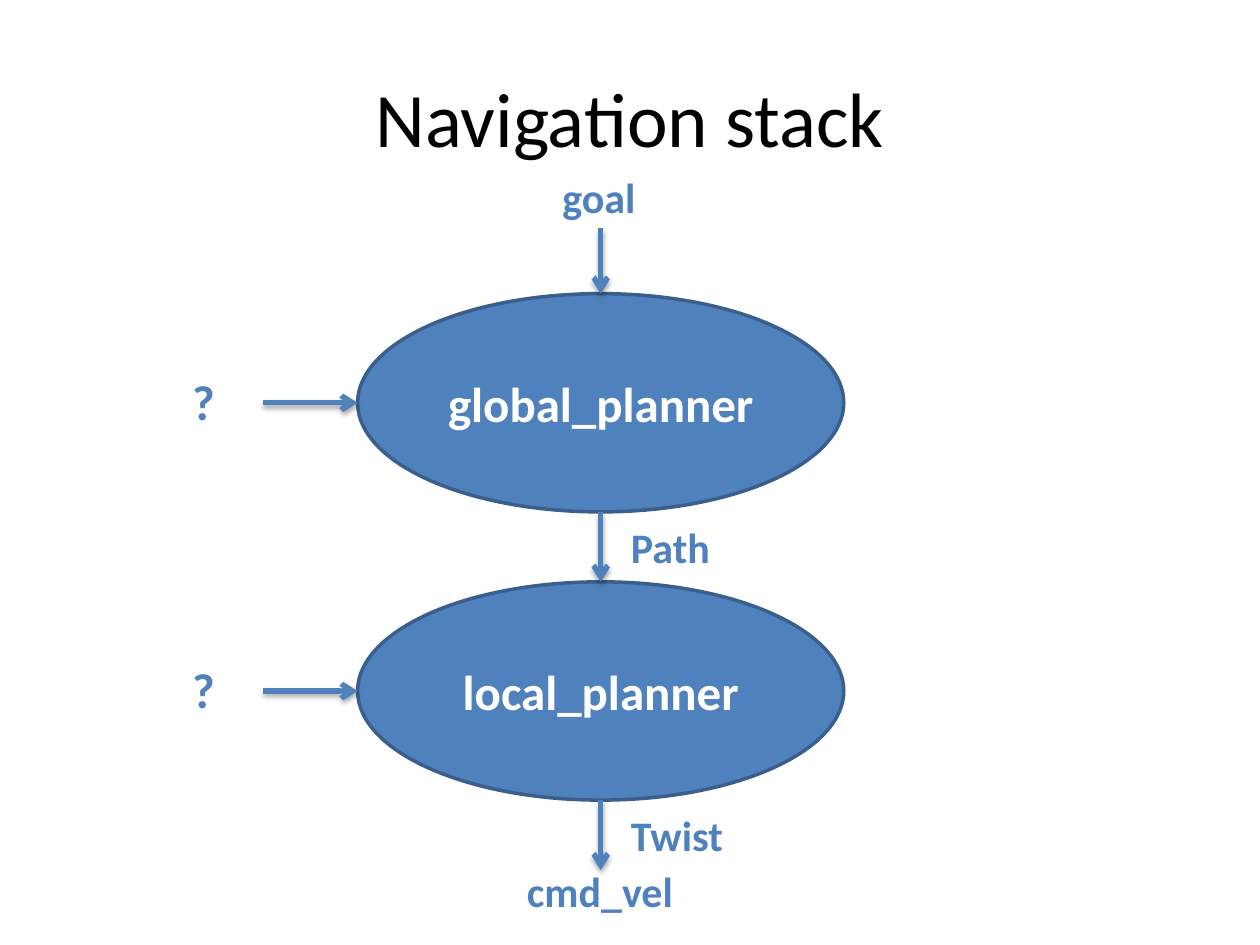
from lxml.etree import SubElement
from pptx import Presentation
from pptx.dml.color import RGBColor
from pptx.enum.shapes import MSO_CONNECTOR, MSO_SHAPE
from pptx.enum.text import MSO_ANCHOR, PP_ALIGN
from pptx.oxml.ns import qn
from pptx.util import Cm, Pt

# Content: each planner with its side input and the message it sends down
TITLE = "Navigation stack"
SOURCE, SINK = "goal", "cmd_vel"
PLANNERS = [
    {"name": "global_planner", "input": "?", "output": "Path"},
    {"name": "local_planner", "input": "?", "output": "Twist"},
]

THEME = {
    "font": "Calibri",
    "black": RGBColor(0x00, 0x00, 0x00),
    "white": RGBColor(0xFF, 0xFF, 0xFF),
    "blue": RGBColor(0x4F, 0x81, 0xBD),
    "outline": RGBColor(0x3A, 0x5F, 0x8C),
    "title": 44,
    "node": 28,
    "label": 24,
}

# Layout in centimetres
NODE_LEFT, NODE_TOP, NODE_WIDTH, NODE_HEIGHT = 7.21, 5.92, 9.8, 4.4
ARROW_LENGTH = 1.41
NODE_STEP = NODE_HEIGHT + ARROW_LENGTH
CENTER = NODE_LEFT + NODE_WIDTH / 2
INPUT_ARROW = 1.9
LABEL_HEIGHT = 1.27


def write(shape, text, size, color, bold=True, align=PP_ALIGN.CENTER,
          anchor=MSO_ANCHOR.TOP):
    frame = shape.text_frame
    frame.word_wrap = True
    frame.vertical_anchor = anchor
    paragraph = frame.paragraphs[0]
    paragraph.alignment = align
    run = paragraph.add_run()
    run.text = text
    run.font.name = THEME["font"]
    run.font.size = Pt(size)
    run.font.bold = bold
    run.font.color.rgb = color


def add_label(slide, text, left, top, width, height=LABEL_HEIGHT,
              size=THEME["label"], align=PP_ALIGN.CENTER):
    box = slide.shapes.add_textbox(Cm(left), Cm(top), Cm(width), Cm(height))
    write(box, text, size, THEME["blue"], align=align)


def add_node(slide, text, top):
    node = slide.shapes.add_shape(MSO_SHAPE.OVAL, Cm(NODE_LEFT), Cm(top),
                                  Cm(NODE_WIDTH), Cm(NODE_HEIGHT))
    node.shadow.inherit = False
    node.fill.solid()
    node.fill.fore_color.rgb = THEME["blue"]
    node.line.color.rgb = THEME["outline"]
    node.line.width = Pt(2)
    write(node, text, THEME["node"], THEME["white"], anchor=MSO_ANCHOR.MIDDLE)
    return node


def add_arrow(slide, start, end, target=None):
    arrow = slide.shapes.add_connector(
        MSO_CONNECTOR.STRAIGHT, *(Cm(value) for value in start + end))
    if target is not None:
        arrow.end_connect(target, 0)
    arrow.line.color.rgb = THEME["blue"]
    arrow.line.width = Pt(3)
    SubElement(arrow.line._get_or_add_ln(), qn("a:tailEnd"), type="arrow")
    # Soft shadow straight below the line
    effects = SubElement(arrow._element.spPr, qn("a:effectLst"))
    shadow = SubElement(effects, qn("a:outerShdw"), blurRad=str(Pt(3.1)),
                        dist=str(Pt(1.8)), dir="5400000", rotWithShape="0")
    color = SubElement(shadow, qn("a:srgbClr"), val="000000")
    SubElement(color, qn("a:alpha"), val="35000")


def main():
    presentation = Presentation()
    presentation.slide_width, presentation.slide_height = Cm(25.4), Cm(19.05)
    slide = presentation.slides.add_slide(presentation.slide_layouts[5])

    # Title
    title = slide.shapes.title
    title.left, title.top = Cm(1.27), Cm(0.76)
    title.width, title.height = Cm(22.86), Cm(3.18)
    write(title, TITLE, THEME["title"], THEME["black"], bold=False,
          anchor=MSO_ANCHOR.MIDDLE)

    # Planners from top to bottom, each fed from above and from the left
    add_label(slide, SOURCE, CENTER - 1.85, 3.33, 3.63)
    arrow_start = 4.6
    for index, planner in enumerate(PLANNERS):
        top = NODE_TOP + index * NODE_STEP
        middle, bottom = top + NODE_HEIGHT / 2, top + NODE_HEIGHT
        node = add_node(slide, planner["name"], top)
        add_arrow(slide, (CENTER, arrow_start), (CENTER, top), node)
        add_arrow(slide, (NODE_LEFT - INPUT_ARROW, middle), (NODE_LEFT, middle))
        add_label(slide, planner["input"], 3.3, middle - 0.76, 1.6, 1.45,
                  size=THEME["node"])
        add_label(slide, planner["output"], CENTER + 0.36, bottom + 0.06, 2.44,
                  align=PP_ALIGN.LEFT)
        arrow_start = bottom

    # Command leaving the last planner
    add_arrow(slide, (CENTER, arrow_start), (CENTER, arrow_start + ARROW_LENGTH))
    add_label(slide, SINK, CENTER - 2.43, 17.32, 4.83)

    presentation.save("out.pptx")


if __name__ == "__main__":
    main()
